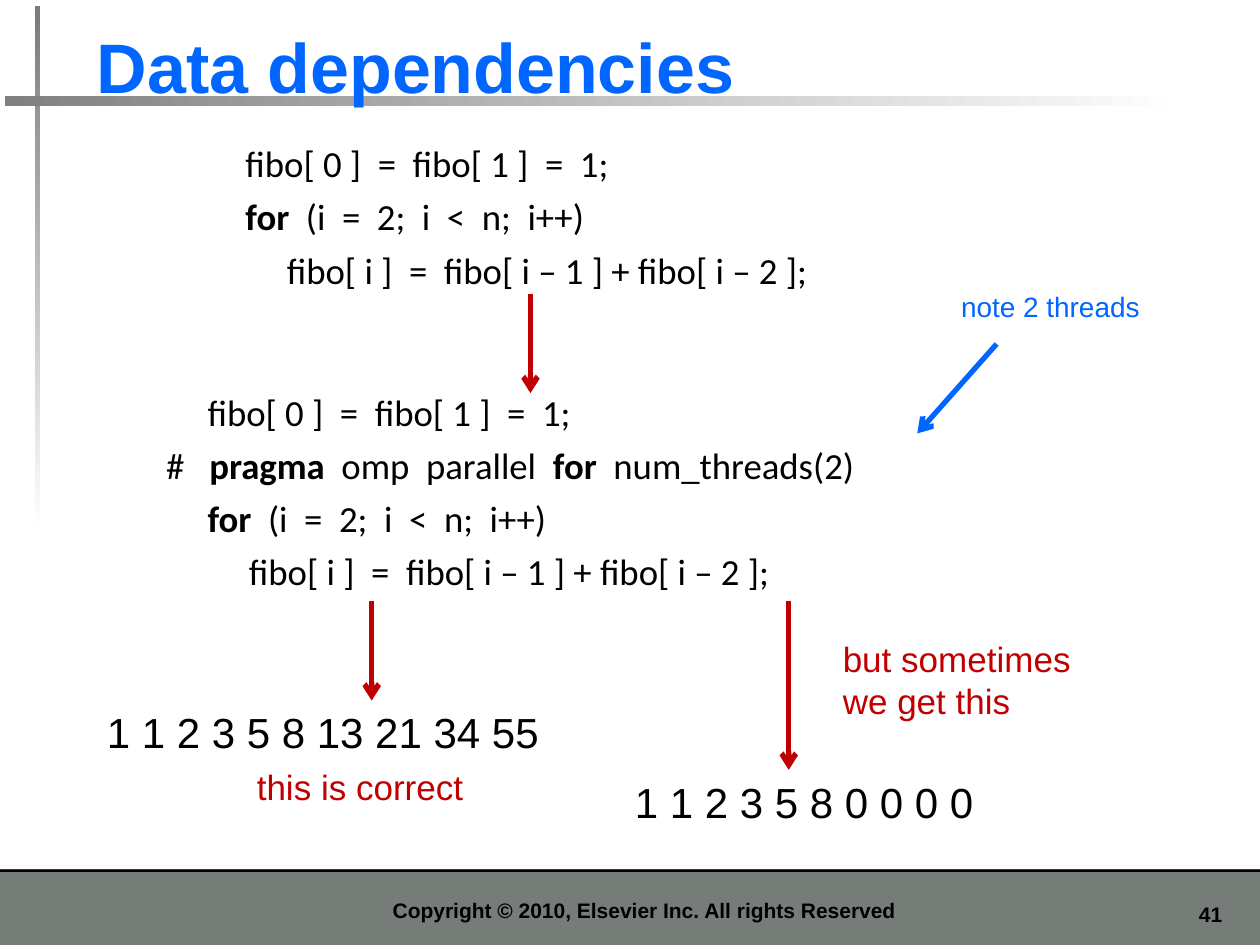
from lxml.etree import SubElement
from pptx import Presentation
from pptx.dml.color import RGBColor
from pptx.enum.shapes import MSO_CONNECTOR, MSO_SHAPE
from pptx.enum.text import MSO_ANCHOR, MSO_AUTO_SIZE, PP_ALIGN
from pptx.oxml.ns import qn
from pptx.util import Inches, Pt

BLACK = RGBColor(0x00, 0x00, 0x00)
WHITE = RGBColor(0xFF, 0xFF, 0xFF)
SLATE = RGBColor(0x76, 0x7D, 0x79)
GRAY = RGBColor(0x80, 0x80, 0x80)
BLUE = RGBColor(0x00, 0x66, 0xFF)
RED = RGBColor(0xC0, 0x00, 0x00)


def add_bar(left, top, width, height):
    bar = page.shapes.add_shape(
        MSO_SHAPE.RECTANGLE, Inches(left), Inches(top), Inches(width), Inches(height)
    )
    bar.shadow.inherit = False
    bar.line.fill.background()
    return bar


def add_text(place, lines, size, color, font="Arial", wrap=False,
             align=PP_ALIGN.LEFT, anchor=MSO_ANCHOR.TOP, gap=0):
    box = page.shapes.add_textbox(*[Inches(length) for length in place])
    frame = box.text_frame
    frame.word_wrap = wrap
    frame.auto_size = MSO_AUTO_SIZE.NONE if wrap else MSO_AUTO_SIZE.SHAPE_TO_FIT_TEXT
    frame.vertical_anchor = anchor
    for index, spans in enumerate(lines):
        para = frame.add_paragraph() if index else frame.paragraphs[0]
        para.alignment = align
        if index:
            para.space_before = Pt(gap)
        for text, strong in spans:
            if text == "\n":
                para.add_line_break()
                continue
            span = para.add_run()
            span.text = text
            span.font.name = font
            span.font.size = Pt(size)
            span.font.bold = strong
            span.font.color.rgb = color


deck = Presentation()
deck.slide_width = Inches(10)
deck.slide_height = Inches(7.5)
page = deck.slides.add_slide(deck.slide_layouts[6])

for height, color in [(0.6, SLATE), (0.02, BLACK)]:
    footer_bar = add_bar(0, 6.9, 10, height)
    footer_bar.fill.solid()
    footer_bar.fill.fore_color.rgb = color

for place, color, angle in [
    ((0.28, 0.05, 0.04, 4.17), SLATE, 270),
    ((0.04, 0.76, 9.37, 0.08), GRAY, 0),
]:
    fading_bar = add_bar(*place)
    fading_bar.fill.gradient()
    fading_bar.fill.gradient_angle = angle
    for stop, stop_color, position in zip(fading_bar.fill.gradient_stops, (color, WHITE), (0, 1)):
        stop.color.rgb = stop_color
        stop.position = position

add_text((9.17, 7.11, 0.63, 0.3), [[("41", True)]], 12, BLACK, wrap=True, align=PP_ALIGN.RIGHT)
add_text((0.67, 0.13, 9.06, 0.77), [[("Data dependencies", True)]], 40, BLUE,
         wrap=True, anchor=MSO_ANCHOR.BOTTOM)
add_text((1.14, 6.98, 7.95, 0.39),
         [[("Copyright © 2010, Elsevier Inc. All rights Reserved", True)]], 12, BLACK,
         wrap=True, align=PP_ALIGN.CENTER, anchor=MSO_ANCHOR.BOTTOM)

for place, texts, size, color, wrap in [
    ((0.75, 5.56, 3.94, 0.5), ["1 1 2 3 5 8 13 21 34 55"], 24, BLACK, True),
    ((4.94, 6.11, 2.89, 0.5), ["1 1 2 3 5 8 0 0 0 0"], 24, BLACK, False),
    ((1.94, 6.03, 1.84, 0.44), ["this is correct"], 20, RED, False),
    ((6.59, 5.01, 2.01, 0.77), ["but sometimes", "\n", "we get this"], 20, RED, False),
    ((7.53, 2.25, 1.7, 0.37), ["note 2 threads"], 16, BLUE, True),
]:
    add_text(place, [[(text, False) for text in texts]], size, color, wrap=wrap)

start = "fibo[ 0 ]  =  fibo[ 1 ]  =  1;"
loop = "  (i  =  2;  i  <  n;  i++)"
step = "fibo[ i ]  =  fibo[ i – 1 ] + fibo[ i – 2 ];"
indent = "     "
serial_code = [
    [(start, False)],
    [("for", True), (loop, False)],
    [(indent + step, False)],
]
parallel_code = [
    [(indent + start, False)],
    [("#   ", False), ("pragma", True), ("  omp  parallel  ", False),
     ("for", True), ("  num_threads(2)", False)],
    [(indent + "for", True), (loop, False)],
    [(indent * 2 + step, False)],
]
add_text((1.85, 1.07, 5.43, 1.3), serial_code, 21, BLACK, font="Calibri", gap=5.2)
add_text((1.22, 3.04, 6.68, 1.72), parallel_code, 21, BLACK, font="Calibri", gap=5.2)

for points, color in [
    ((4.21, 2.33, 4.21, 3.12), RED),
    ((2.95, 4.77, 2.95, 5.56), RED),
    ((6.26, 4.77, 6.26, 6.11), RED),
    ((7.91, 2.73, 7.28, 3.44), BLUE),
]:
    arrow = page.shapes.add_connector(
        MSO_CONNECTOR.STRAIGHT, *[Inches(length) for length in points]
    )
    arrow.line.color.rgb = color
    arrow.line.width = Pt(3)
    properties = arrow._element.spPr
    SubElement(properties.find(qn("a:ln")), qn("a:tailEnd"), type="arrow")
    SubElement(properties, qn("a:effectLst"))

deck.save("out.pptx")
